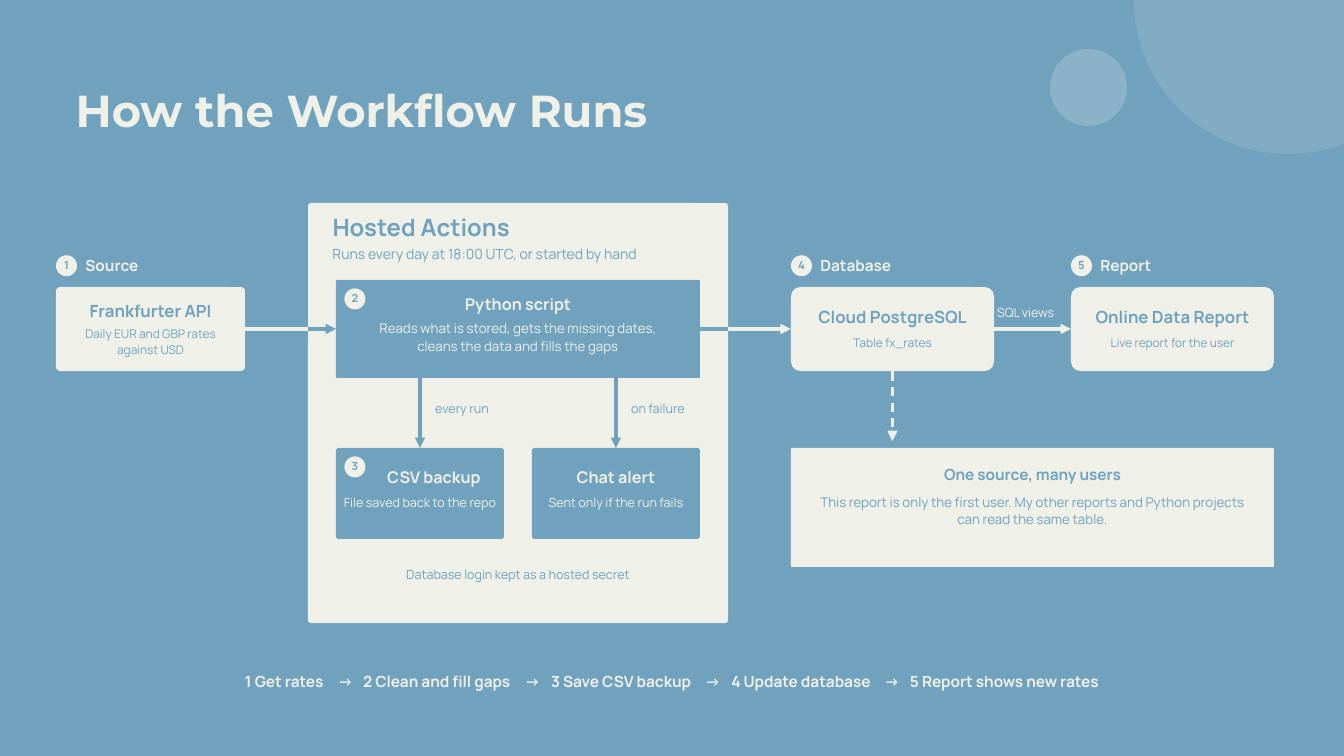
from itertools import chain

from lxml.etree import SubElement
from pptx import Presentation
from pptx.dml.color import RGBColor as Rgb
from pptx.enum.shapes import MSO_CONNECTOR as Link, MSO_SHAPE as Shape
from pptx.enum.text import MSO_ANCHOR as Anchor, MSO_AUTO_SIZE as Fit, PP_ALIGN as Align
from pptx.oxml.ns import qn
from pptx.util import Pt

COLORS = {"blue": "70A1BD", "cream": "EFF1E8"}
TITLE = "How the Workflow Runs"
LEFT, CENTER = Align.LEFT, Align.CENTER

# Text styles: size, line spacing, bold
STYLES = {
    "title": (48, 52.8, True), "panel": (25.5, 35.7, True), "intro": (15, 21, False),
    "name": (18, 25.2, True), "detail": (12.75, 16.6, False),
    "script": (17.25, 22.4, True), "body": (14.25, 18.5, False),
    "output": (17.25, 24.1, True), "label": (13.5, 18.9, False),
    "stage": (16.5, 23.1, True), "badge": (12, 12.6, True),
}

# Column and row positions shared by cards, badges and arrows
SOURCE, PANEL, SCRIPT, ALERT, DATABASE, REPORT = 60, 330, 360, 570, 847.5, 1147.5
CARD_TOP, SCRIPT_TOP, LOWER_TOP, FLOW_Y = 307.5, 300, 480, 352.5

# Cards: box, radius, fill, text colour, (side inset, top inset, gap, heading indent),
# then (style, text) for heading and detail
CARDS = [
    ((PANEL, 217.5, 450, 450), 3, "cream", "blue", None, []),
    ((SOURCE, CARD_TOP, 202.5, 90), 4.5, "cream", "blue", (11.25, 11.5, 4.5, 0),
     [("name", "Frankfurter API"), ("detail", "Daily EUR and GBP rates against USD")]),
    ((SCRIPT, SCRIPT_TOP, 390, 105), 1.5, "blue", "cream", (45, 14, 5.6, 0),
     [("script", "Python script"),
      ("body", "Reads what is stored, gets the missing dates, cleans the data and fills the gaps")]),
    ((SCRIPT, LOWER_TOP, 180, 97.5), 3, "blue", "cream", (7.5, 17.5, 6, 30),
     [("output", "CSV backup"), ("label", "File saved back to the repo")]),
    ((ALERT, LOWER_TOP, 180, 97.5), 3, "blue", "cream", (7.5, 17.5, 6, 0),
     [("output", "Chat alert"), ("label", "Sent only if the run fails")]),
    ((DATABASE, CARD_TOP, 217.5, 90), 10, "cream", "blue", (11.25, 18, 8, 0),
     [("name", "Cloud PostgreSQL"), ("detail", "Table fx_rates")]),
    ((REPORT, CARD_TOP, 217.5, 90), 10, "cream", "blue", (11.25, 18, 8, 0),
     [("name", "Online Data Report"), ("detail", "Live report for the user")]),
    ((DATABASE, LOWER_TOP, 517.5, 127.5), 1.5, "cream", "blue", (22.5, 15.5, 9.3, 0),
     [("stage", "One source, many users"),
      ("body", "This report is only the first user. My other reports and Python projects "
               "can read the same table.")]),
]

# Arrows: from, to, colour, has head, dashed
ARROWS = [
    ((262.5, FLOW_Y), (PANEL, FLOW_Y), "cream", False, False),
    ((PANEL, FLOW_Y), (SCRIPT, FLOW_Y), "blue", True, False),
    ((750, FLOW_Y), (780, FLOW_Y), "blue", False, False),
    ((780, FLOW_Y), (DATABASE, FLOW_Y), "cream", True, False),
    ((1065, FLOW_Y), (REPORT, FLOW_Y), "cream", True, False),
    ((450, 405), (450, LOWER_TOP), "blue", True, False),
    ((660, 405), (660, LOWER_TOP), "blue", True, False),
    ((956.25, 398), (956.25, 472.5), "cream", True, True),
]

# Labels: box, text, style, colour, alignment
LABELS = [
    ((356.25, 222.5, 300, 36), "Hosted Actions", "panel", "blue", LEFT),
    ((356.25, 260, 405, 21), "Runs every day at 18:00 UTC, or started by hand", "intro", "blue", LEFT),
    ((459, 426.5, 72, 19), "every run", "label", "blue", CENTER),
    ((669, 426.5, 72, 19), "on failure", "label", "blue", CENTER),
    ((1068, 324, 75, 19), "SQL views", "label", "cream", LEFT),
    ((SCRIPT, 604.5, 390, 19), "Database login kept as a hosted secret", "label", "blue", CENTER),
]

# Badges: left, top, stage name beside it
BADGES = [
    (SOURCE, 273.5, "Source"), (SCRIPT + 9, SCRIPT_TOP + 9, ""), (SCRIPT + 9, LOWER_TOP + 9, ""),
    (DATABASE, 273.5, "Database"), (REPORT, 273.5, "Report"),
]

# Closing line: steps, and tab stops for the arrows and steps that follow the first
STEPS = ["1 Get rates", "2 Clean and fill gaps", "3 Save CSV backup",
         "4 Update database", "5 Report shows new rates"]
STEP_TABS = [99.5, 126.5, 300, 328, 493, 521, 685, 712.5]

# Background circles: left, top, diameter, opacity in percent
CIRCLES = [(1215, -165, 330, 15), (1125, 52.5, 82.5, 22)]


def color(name):
    return Rgb.from_string(COLORS[name])


def set_frame(frame, anchor=Anchor.TOP, side=0, top=0):
    values = {"word_wrap": True, "auto_size": Fit.NONE, "vertical_anchor": anchor,
              "margin_left": Pt(side), "margin_right": Pt(side),
              "margin_top": Pt(top), "margin_bottom": 0}
    for key, value in values.items():
        setattr(frame, key, value)


def write(para, text, style, hue, align=CENTER, gap=0):
    size, spacing, bold = STYLES[style]
    para.alignment, para.line_spacing, para.space_before = align, Pt(spacing), Pt(gap)
    span = para.add_run()
    span.text = text
    face = "Montserrat" if style == "title" else "Manrope"
    for key, value in {"name": face, "size": Pt(size), "bold": bold}.items():
        setattr(span.font, key, value)
    span.font.color.rgb = color(hue)


def add_filled(slide, kind, box, hue):
    shape = slide.shapes.add_shape(kind, *map(Pt, box))
    shape.shadow.inherit = False
    shape.fill.solid()
    shape.fill.fore_color.rgb = color(hue)
    shape.line.fill.background()
    return shape


def add_label(slide, box, text, style, hue, align):
    frame = slide.shapes.add_textbox(*map(Pt, box)).text_frame
    set_frame(frame)
    write(frame.paragraphs[0], text, style, hue, align)
    return frame.paragraphs[0]


def add_card(slide, box, radius, fill, hue, layout, lines):
    card = add_filled(slide, Shape.ROUNDED_RECTANGLE, box, fill)
    card.adjustments[0] = radius / min(box[2:])
    if not lines:
        return
    side, top, gap, indent = layout
    corner = 0.29 * radius  # a rounded shape already insets its text by this much
    frame = card.text_frame
    set_frame(frame, side=side - corner, top=top - corner)
    heading, detail = frame.paragraphs[0], frame.add_paragraph()
    write(heading, lines[0][1], lines[0][0], hue)
    write(detail, lines[1][1], lines[1][0], hue, gap=gap)
    if indent:
        heading._p.get_or_add_pPr().set("marL", str(Pt(indent)))


def add_arrow(slide, start, end, hue, head, dashed):
    arrow = slide.shapes.add_connector(Link.STRAIGHT, *map(Pt, start + end))
    arrow.line.width = Pt(3.75)
    arrow.line.color.rgb = color(hue)
    line = arrow.line._get_or_add_ln()
    if dashed:
        SubElement(SubElement(line, qn("a:custDash")), qn("a:ds"), d="260000", sp="185000")
    if head:
        SubElement(line, qn("a:tailEnd"), type="triangle", w="med", len="med")
    SubElement(arrow._element.spPr, qn("a:effectLst"))


def add_badge(slide, number, left, top, stage):
    frame = add_filled(slide, Shape.OVAL, (left, top, 22.5, 22.5), "cream").text_frame
    set_frame(frame, Anchor.MIDDLE)
    write(frame.paragraphs[0], str(number), "badge", "blue")
    if stage:
        add_label(slide, (left + 31.5, top - 2, 150, 23), stage, "stage", "cream", LEFT)


def add_steps(slide):
    parts = chain.from_iterable(("→", step) for step in STEPS)
    text = "\t".join(list(parts)[1:])
    para = add_label(slide, (262.5, 716.5, 960, 23), text, "stage", "cream", LEFT)
    tabs = SubElement(para._p.get_or_add_pPr(), qn("a:tabLst"))
    for stop in STEP_TABS:
        SubElement(tabs, qn("a:tab"), pos=str(Pt(stop)), algn="l")


def main():
    deck = Presentation()
    deck.slide_width, deck.slide_height = Pt(1440), Pt(810)
    page = deck.slides.add_slide(deck.slide_layouts[5])
    page.background.fill.solid()
    page.background.fill.fore_color.rgb = color("blue")

    # Background circles
    for left, top, size, opacity in CIRCLES:
        circle = add_filled(page, Shape.OVAL, (left, top, size, size), "cream")
        tone = circle._element.spPr.find(".//" + qn("a:srgbClr"))
        SubElement(tone, qn("a:alpha"), val=str(opacity * 1000))

    # Title
    title = page.shapes.title
    title.left, title.top, title.width, title.height = map(Pt, (81, 93, 1275, 53))
    set_frame(title.text_frame)
    write(title.text_frame.paragraphs[0], TITLE, "title", "cream", LEFT)

    # Workflow diagram
    for card in CARDS:
        add_card(page, *card)
    for arrow in ARROWS:
        add_arrow(page, *arrow)
    for label in LABELS:
        add_label(page, *label)
    for number, badge in enumerate(BADGES, 1):
        add_badge(page, number, *badge)

    # Closing line
    add_steps(page)
    deck.save("out.pptx")


if __name__ == "__main__":
    main()
